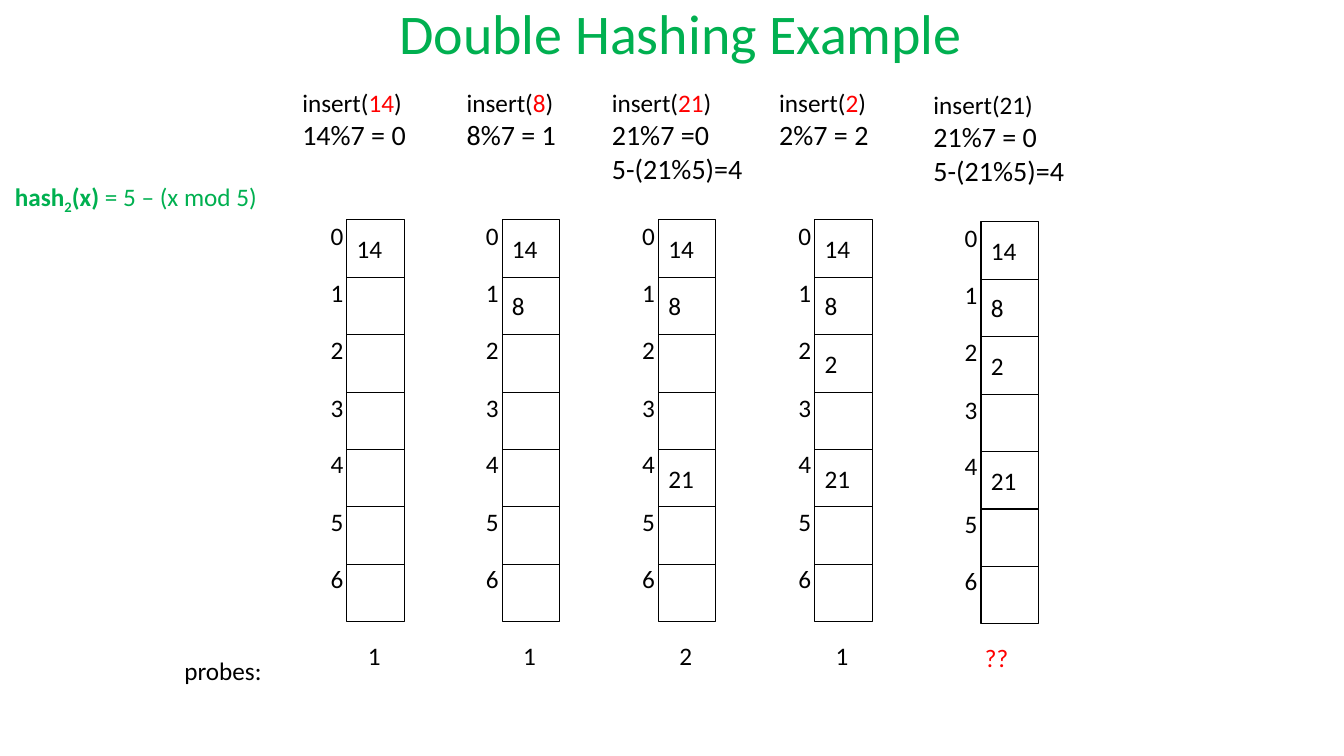
from typing import NamedTuple

from pptx import Presentation
from pptx.dml.color import RGBColor
from pptx.enum.shapes import MSO_SHAPE as Preset
from pptx.enum.text import MSO_ANCHOR as Anchor, MSO_AUTO_SIZE as AutoSize, PP_ALIGN as Align
from pptx.util import Pt

PX = 9144
FONT = "Calibri"
COLORS = {"text": "000000", "accent": "FF0000", "green": "00B050"}
SLOTS = 7
CELL = 57
LABEL_SPAN = 340
LINE_HEIGHT = 40


class Span(NamedTuple):
    """A piece of text with its own look."""
    text: str
    size: int = 18
    color: str = "text"
    bold: bool = False
    baseline: int = 0


class Step(NamedTuple):
    """One insertion and the hash table after it."""
    left: int
    top: int
    heading_offset: int
    heading_width: int
    key: Span
    sums: list
    slots: dict
    probes: Span
    probes_offset: int = 11
    probes_width: int = 33


STEPS = [
    Step(344, 218, -54, 124, Span("14", color="accent"), ["14%7 = 0"],
         {0: "14"}, Span("1")),
    Step(498, 218, -45, 109, Span("8", color="accent"), ["8%7 = 1"],
         {0: "14", 1: "8"}, Span("1")),
    Step(653, 218, -56, 151, Span("21", color="accent"), ["21%7 =0", "5-(21%5)=4"],
         {0: "14", 1: "8", 4: "21"}, Span("2")),
    Step(808, 218, -45, 109, Span("2", color="accent"), ["2%7 = 2"],
         {0: "14", 1: "8", 2: "2", 4: "21"}, Span("1")),
    Step(973, 220, -57, 151, Span("21"), ["21%7 = 0", "5-(21%5)=4"],
         {0: "14", 1: "8", 2: "2", 4: "21"}, Span("??", color="accent"), -6, 67),
]


def rgb(name):
    """Look up a colour by its role."""
    return RGBColor.from_string(COLORS[name])


def write(shape, lines, align=Align.LEFT):
    """Fill a shape with lines, each a list of spans."""
    frame = shape.text_frame
    for number, line in enumerate(lines):
        para = frame.add_paragraph() if number else frame.paragraphs[0]
        para.alignment = align
        for piece in line:
            span = para.add_run()
            span.text = piece.text
            span.font.name = FONT
            span.font.size = Pt(piece.size)
            span.font.bold = piece.bold
            span.font.color.rgb = rgb(piece.color)
            if piece.baseline:
                span.font._element.set("baseline", str(piece.baseline * 1000))


def add_text(page, left, top, width, height, lines):
    """Add an unwrapped text box that fits its text."""
    box = page.shapes.add_textbox(left * PX, top * PX, width * PX, height * PX)
    box.text_frame.word_wrap = False
    box.text_frame.auto_size = AutoSize.SHAPE_TO_FIT_TEXT
    write(box, lines)


def add_title(page, left, top, width, height):
    """Add the centred slide title."""
    box = page.shapes.add_textbox(left * PX, top * PX, width * PX, height * PX)
    box.text_frame.word_wrap = True
    box.text_frame.vertical_anchor = Anchor.MIDDLE
    write(box, [[Span("Double Hashing Example", 40, "green")]], Align.CENTER)
    box.text_frame.paragraphs[0].line_spacing = 0.9


def add_cell(page, left, top, value):
    """Add one slot of a hash table, with its value if it is taken."""
    cell = page.shapes.add_shape(Preset.RECTANGLE, left * PX, top * PX, CELL * PX, CELL * PX)
    cell.shadow.inherit = False
    cell.fill.background()
    cell.line.color.rgb = rgb("text")
    cell.line.width = Pt(0.75)
    cell.text_frame.word_wrap = False
    cell.text_frame.vertical_anchor = Anchor.MIDDLE
    if value:
        write(cell, [[Span(value)]])


def add_step(page, step):
    """Add a heading, an indexed hash table and a probe count."""
    left, top = step.left, step.top
    lines = [[Span("insert("), step.key, Span(")")]]
    lines += [[Span(text, 20)] for text in step.sums]
    add_text(page, left + step.heading_offset, top - 136, step.heading_width,
             LINE_HEIGHT + 34 * len(step.sums), lines)
    for slot in range(SLOTS):
        add_cell(page, left, top + slot * CELL, step.slots.get(slot))
        label_top = top - 4 + slot * LABEL_SPAN // (SLOTS - 1)
        add_text(page, left - 26, label_top, 33, LINE_HEIGHT, [[Span(str(slot))]])
    add_text(page, left + step.probes_offset, top + 412, step.probes_width,
             LINE_HEIGHT, [[step.probes]])


def add_hash_rule(page, left, top, width, height):
    """Add the definition of the second hash function."""
    add_text(page, left, top, width, height, [[
        Span("hash", color="green", bold=True),
        Span("2", color="green", bold=True, baseline=-25),
        Span("(x) ", color="green", bold=True),
        Span("= 5 – (x mod 5)", color="green"),
    ]])


def main():
    """Build the deck and save it."""
    deck = Presentation()
    deck.slide_width, deck.slide_height = 1333 * PX, 750 * PX
    page = deck.slides.add_slide(deck.slide_layouts[6])
    add_title(page, 250, 0, 850, 72)
    add_text(page, 173, 645, 98, LINE_HEIGHT, [[Span("probes:")]])
    for step in STEPS:
        add_step(page, step)
    add_hash_rule(page, 5, 175, 274, LINE_HEIGHT)
    deck.save("out.pptx")


if __name__ == "__main__":
    main()
